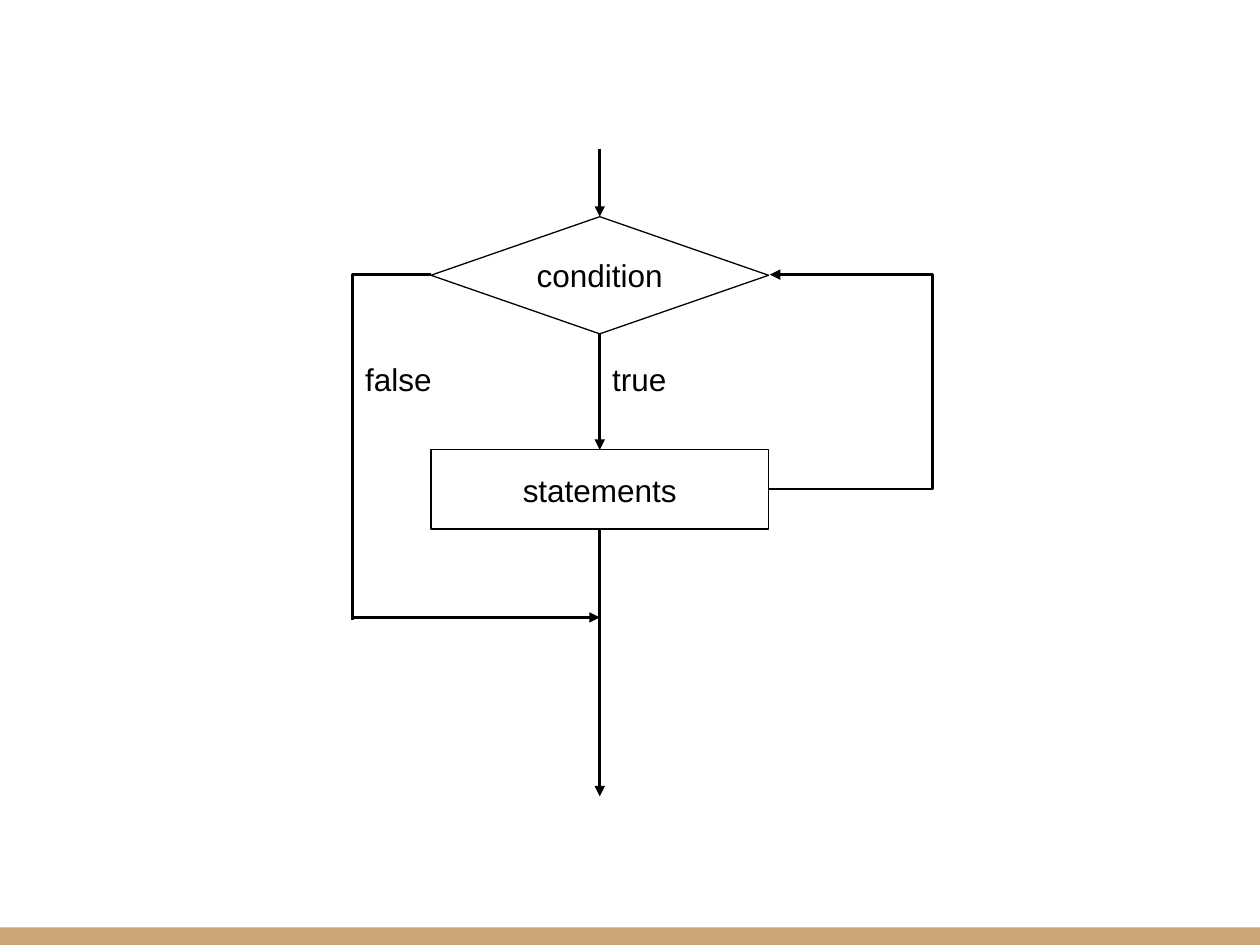
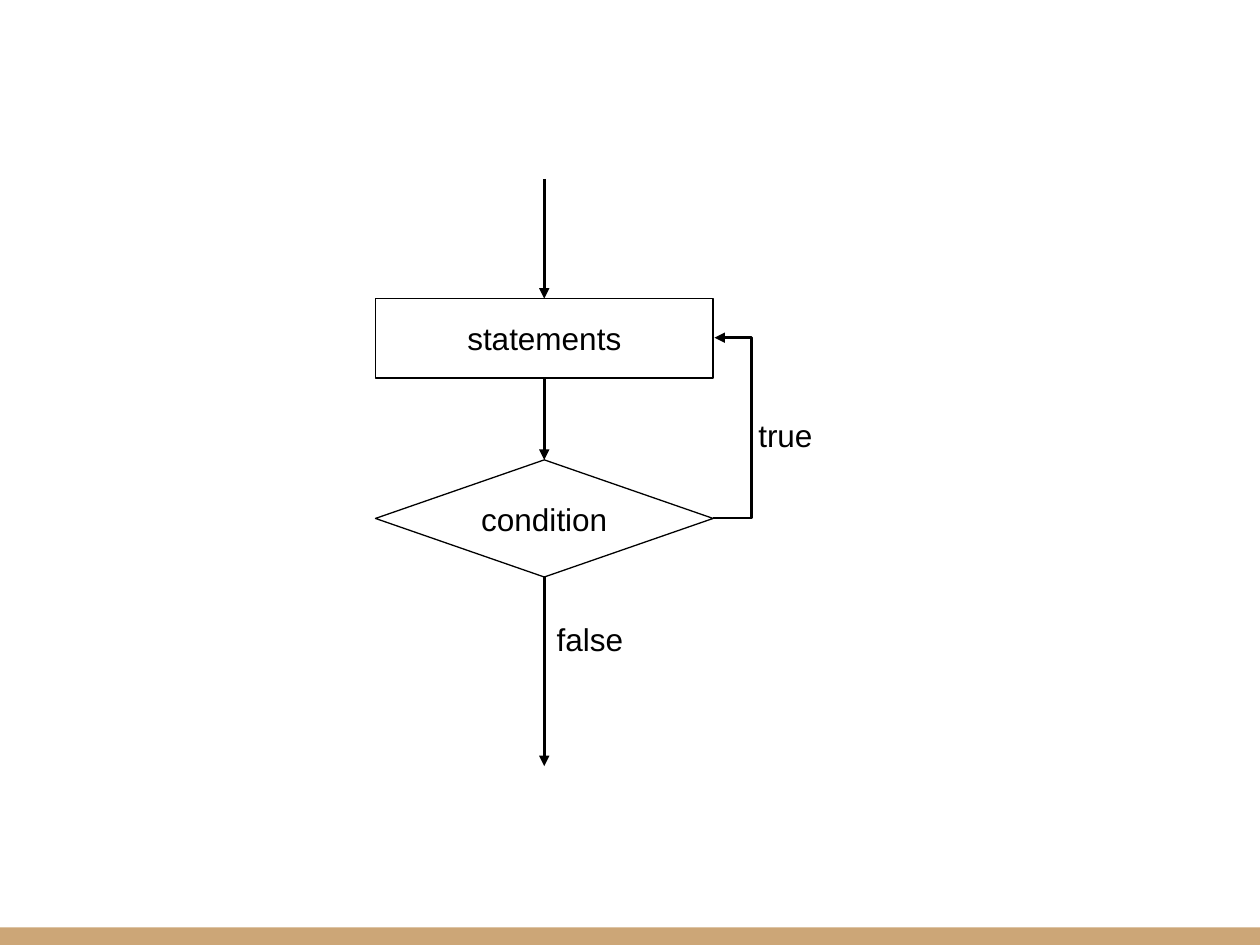
import pptx
import pptx.util
from pptx.dml.color import RGBColor
from pptx.enum.shapes import MSO_CONNECTOR, MSO_SHAPE
from pptx.enum.text import MSO_ANCHOR, PP_ALIGN
from pptx.oxml.ns import qn
from pptx.util import Inches, Pt
from lxml import etree
from dataclasses import dataclass


@dataclass(frozen=True)
class Theme:
    ink: RGBColor = RGBColor(0x00, 0x00, 0x00)
    band: RGBColor = RGBColor(0xCC, 0xA6, 0x77)
    font: str = "Arial"
    text_size: float = 18
    outline: float = 0.75
    flow_line: float = 1.5


theme = Theme()
NODE_W = 2.68
LABEL_H = 0.4
INSET = Inches(0.1)
LOOP_W = 0.01   # a loop back starts and ends on almost the same x

# Loops give their start, their end height and how far they reach to the right.
charts = [
    {   # while loop: the condition comes first
        "nodes": [
            (MSO_SHAPE.FLOWCHART_DECISION, "condition", 3.42, 1.72, 0.93),
            (MSO_SHAPE.RECTANGLE, "statements", 3.42, 3.57, 0.63),
        ],
        "labels": [("true", 4.76, 2.76, 1.1), ("false", 2.8, 2.76, 0.89)],
        "arrows": [
            (4.76, 1.18, 4.76, 1.72),
            (4.76, 2.64, 4.76, 3.57),
            (4.76, 4.2, 4.76, 6.32),
            (2.8, 4.9, 4.76, 4.9),
        ],
        "corners": [(3.42, 2.18, 2.8, 4.92)],
        "loop": (6.1, 3.88, 2.18, 1.32),
    },
    {   # do-while loop: the statements come first
        "nodes": [
            (MSO_SHAPE.FLOWCHART_DECISION, "condition", 2.98, 3.65, 0.93),
            (MSO_SHAPE.RECTANGLE, "statements", 2.98, 2.37, 0.63),
        ],
        "labels": [("true", 5.92, 3.2, 1.1), ("false", 4.32, 4.82, 0.89)],
        "arrows": [
            (4.32, 1.42, 4.32, 2.37),
            (4.32, 3.0, 4.32, 3.65),
            (4.32, 4.57, 4.32, 6.08),
        ],
        "corners": [],
        "loop": (5.66, 4.11, 2.68, 0.31),
    },
]


def write_text(sp, text, align, anchor):
    tf = sp.text_frame
    tf.word_wrap = True
    tf.vertical_anchor = anchor
    tf.margin_left = tf.margin_right = tf.margin_top = tf.margin_bottom = INSET
    p = tf.paragraphs[0]
    p.alignment = align
    r = p.add_run()
    r.text = text
    r.font.name = theme.font
    r.font.size = Pt(theme.text_size)
    r.font.color.rgb = theme.ink


def add_flow(s, kind, ends, arrow=True):
    """Add a connector along ends (x1, y1, x2, y2) and return its spPr."""
    line = s.shapes.add_connector(kind, *(Inches(v) for v in ends))
    line.line.color.rgb = theme.ink
    line.line.width = Pt(theme.flow_line)
    sp_pr = line.element.spPr
    if arrow:
        etree.SubElement(sp_pr.find(qn("a:ln")), qn("a:tailEnd"), type="triangle")
    etree.SubElement(sp_pr, qn("a:effectLst"))
    return sp_pr


prs = pptx.Presentation()
prs.slide_width, prs.slide_height = Inches(10), Inches(7.5)
blank = prs.slide_layouts[6]
slides = [prs.slides.add_slide(blank) for _ in charts]

# The footer band lives on the master, so every slide shares it.
band = slides[0].shapes.add_shape(
    MSO_SHAPE.RECTANGLE, 0, Inches(7.36), prs.slide_width, Inches(0.14))
band.shadow.inherit = False
band.fill.solid()
band.fill.fore_color.rgb = theme.band
band.line.fill.background()
prs.slide_master.shapes.element.append(band.element)

for s, chart in zip(slides, charts):
    for shape, text, left, top, height in chart["nodes"]:
        sp = s.shapes.add_shape(
            shape, Inches(left), Inches(top), Inches(NODE_W), Inches(height))
        sp.shadow.inherit = False
        sp.fill.background()
        sp.line.color.rgb = theme.ink
        sp.line.width = Pt(theme.outline)
        write_text(sp, text, PP_ALIGN.CENTER, MSO_ANCHOR.MIDDLE)

    for text, left, top, width in chart["labels"]:
        sp = s.shapes.add_textbox(
            Inches(left), Inches(top), Inches(width), Inches(LABEL_H))
        write_text(sp, text, PP_ALIGN.LEFT, MSO_ANCHOR.TOP)

    for ends in chart["arrows"]:
        add_flow(s, MSO_CONNECTOR.STRAIGHT, ends)

    for ends in chart["corners"]:
        sp_pr = add_flow(s, MSO_CONNECTOR.ELBOW, ends, arrow=False)
        sp_pr.find(qn("a:prstGeom")).set("prst", "bentConnector2")

    # Half a turn plus a mirror makes the loop run upwards, bulging right.
    x, y_from, y_to, reach = chart["loop"]
    sp_pr = add_flow(s, MSO_CONNECTOR.ELBOW, (x, y_to, x + LOOP_W, y_from))
    xfrm = sp_pr.find(qn("a:xfrm"))
    xfrm.set("rot", "10800000")
    xfrm.set("flipH", "1")
    guides = sp_pr.find(qn("a:prstGeom")).find(qn("a:avLst"))
    bulge = round(reach / LOOP_W * 100000)
    etree.SubElement(guides, qn("a:gd"), name="adj1", fmla=f"val {bulge}")

prs.save("out.pptx")
